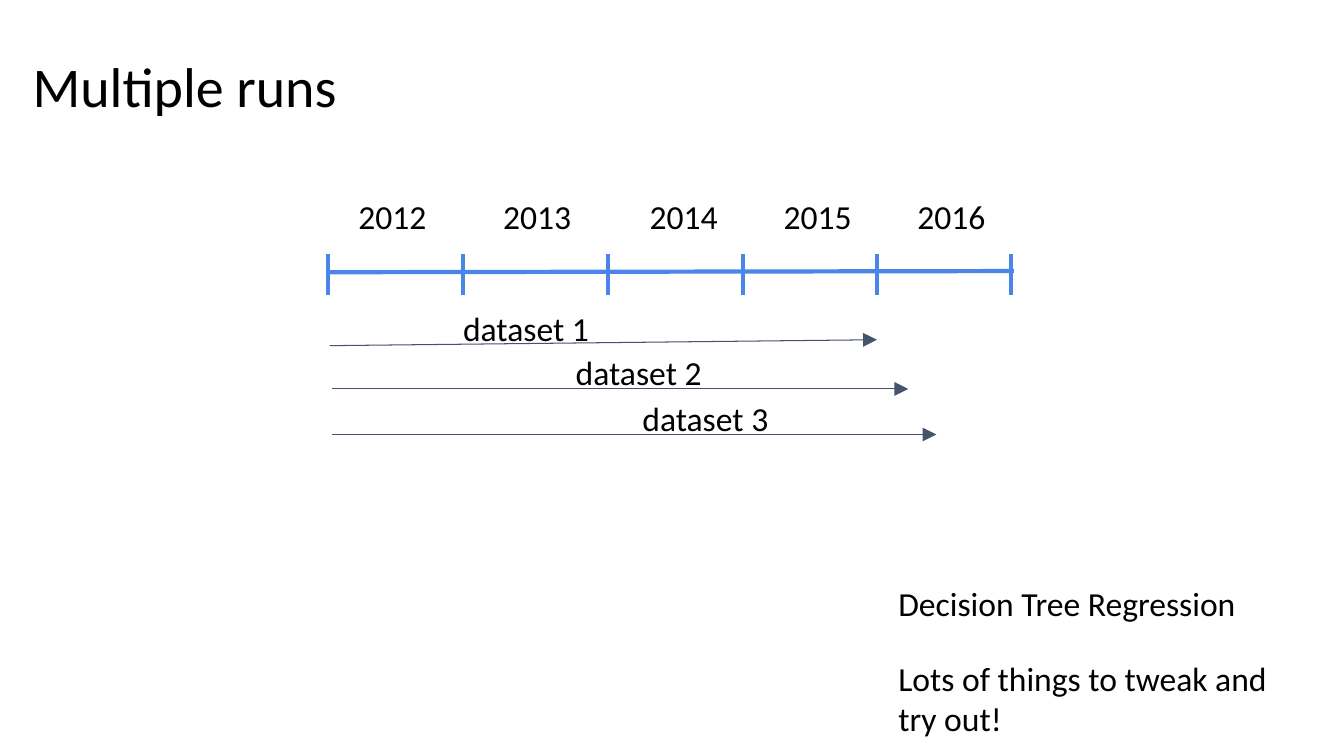
from lxml import etree
from pptx import Presentation, util as u
from pptx.dml.color import RGBColor
from pptx.enum import shapes, text
from pptx.oxml.ns import qn

TITLE = "Multiple runs"
TICKS = [8.26, 11.66, 15.32, 18.72, 22.1, 25.48]
YEARS = [("2012", 8.69), ("2013", 12.34), ("2014", 16.03), ("2015", 19.41), ("2016", 22.78)]
DATASETS = [
    {"label": "dataset 1", "at": (11.33, 7.49), "arrow": (8.31, 8.71, 22.1, 8.56)},
    {"label": "dataset 2", "at": (14.17, 8.61), "arrow": (8.36, 9.8, 22.89, 9.8)},
    {"label": "dataset 3", "at": (15.85, 9.75), "arrow": (8.36, 10.95, 23.6, 10.95)},
]
NOTES = [
    (["Decision Tree Regression"], 14.43),
    (["Lots of things to tweak and ", "try out!"], 16.31),
]
BLUE, SLATE, BLACK = "4A86E8", "44546A", "000000"
TICK_TOP, TICK_BOTTOM = 6.4, 7.44
YEAR_TOP, NOTE_LEFT = 4.67, 22.3


def colour(value):
    return RGBColor.from_string(value)


def write(box, lines, size):
    frame = box.text_frame
    frame.word_wrap = True
    frame.auto_size = text.MSO_AUTO_SIZE.NONE
    frame.vertical_anchor = text.MSO_ANCHOR.TOP
    frame.margin_left = frame.margin_right = u.Cm(0.34)
    frame.margin_top = frame.margin_bottom = u.Cm(0.34)
    frame.text = "\n".join(lines)
    for para in frame.paragraphs:
        para.alignment = text.PP_ALIGN.LEFT
        para.font.name = "Calibri"
        para.font.size = u.Pt(size)
        para.font.color.rgb = colour(BLACK)


def add_label(lines, left, top, width):
    box = page.shapes.add_textbox(u.Cm(left), u.Cm(top), u.Cm(width), u.Cm(0.53))
    write(box, lines, 24)


def add_line(ends, line_colour, weight, arrow=False):
    line = page.shapes.add_connector(
        shapes.MSO_CONNECTOR.STRAIGHT, *[u.Cm(value) for value in ends])
    line.line.color.rgb = colour(line_colour)
    line.line.width = u.Pt(weight)
    if arrow:
        etree.SubElement(line.line._get_or_add_ln(), qn("a:tailEnd"),
                         type="triangle", w="lg", len="lg")
    etree.SubElement(line._element.spPr, qn("a:effectLst"))


deck = Presentation()
deck.slide_width, deck.slide_height = u.Cm(33.87), u.Cm(19.05)
page = deck.slides.add_slide(deck.slide_layouts[5])

title = page.shapes.title
title.left, title.top = u.Cm(0.48), u.Cm(0.97)
title.width, title.height = u.Cm(14.07), u.Cm(1.83)
write(title, [TITLE], 40)

add_line((8.28, 6.86, 25.55, 6.83), BLUE, 3)
for tick in TICKS:
    add_line((tick, TICK_TOP, tick, TICK_BOTTOM), BLUE, 3)
for year, left in YEARS:
    add_label([year], left, YEAR_TOP, 2.54)

for dataset in DATASETS:
    add_line(dataset["arrow"], SLATE, 0.75, arrow=True)
    add_label([dataset["label"]], *dataset["at"], 5.72)

for lines, top in NOTES:
    add_label(lines, NOTE_LEFT, top, 10.03)

deck.save("out.pptx")
